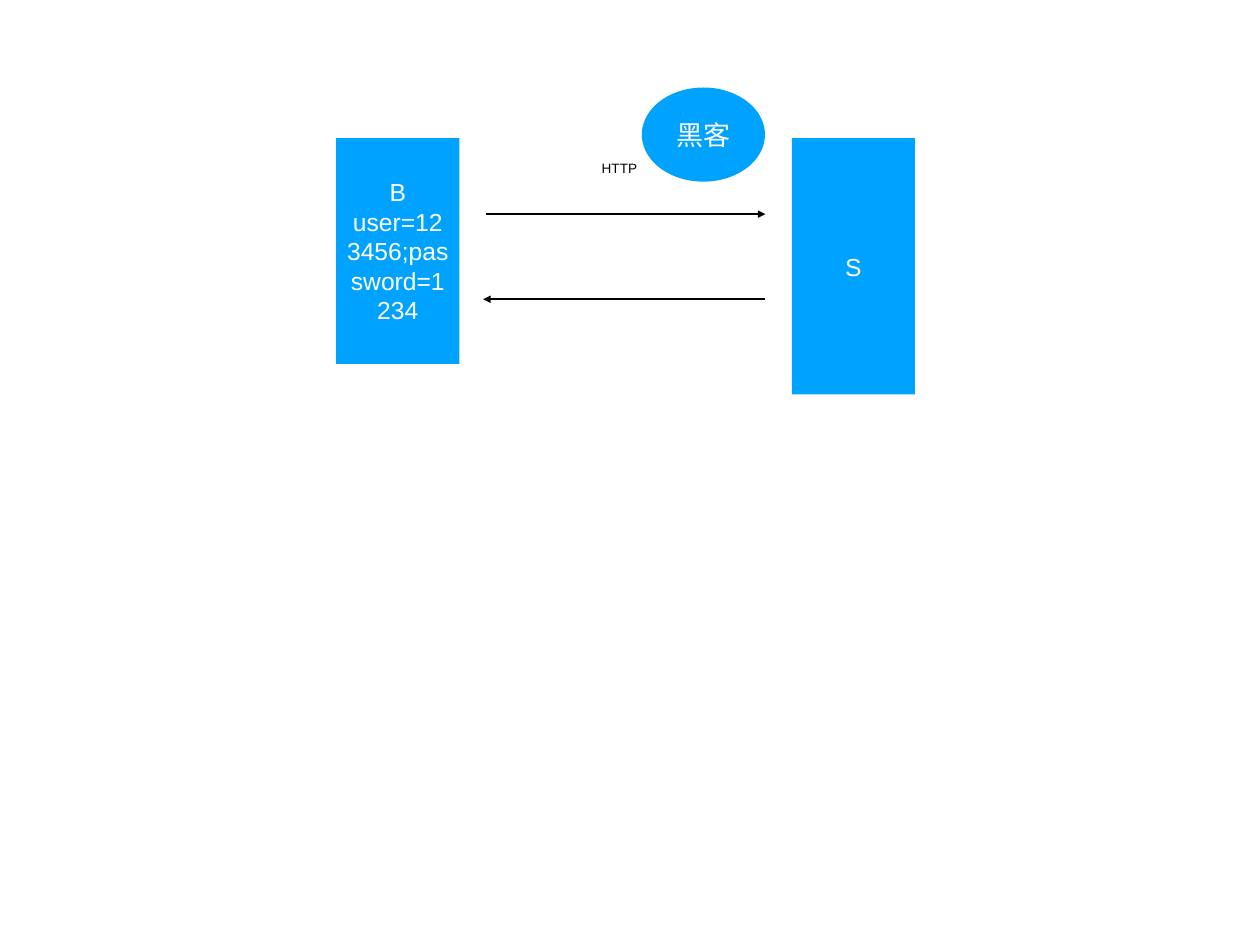
"""Builds a slide showing a hacker listening in on HTTP between browser and server."""
from dataclasses import dataclass

from lxml import etree
from pptx import Presentation
from pptx import util as u
from pptx.dml.color import RGBColor
from pptx.enum import shapes, text
from pptx.oxml import ns


@dataclass(frozen=True)
class Theme:
    blue: RGBColor = RGBColor(0x00, 0xA2, 0xFF)
    white: RGBColor = RGBColor(0xFF, 0xFF, 0xFF)
    black: RGBColor = RGBColor(0x00, 0x00, 0x00)
    font: str = "Arial"
    node_size: int = 20
    hacker_size: int = 22
    label_size: int = 11
    line_width: int = 2


theme = Theme()


def write(shape, wording, size, color, inset, align, anchor):
    frame = shape.text_frame
    frame.word_wrap = True
    frame.vertical_anchor = anchor
    frame.margin_left = frame.margin_right = u.Cm(inset)
    frame.margin_top = frame.margin_bottom = u.Cm(inset)
    frame.text = wording
    for paragraph in frame.paragraphs:
        paragraph.alignment = align
        paragraph.font.name = theme.font
        paragraph.font.size = u.Pt(size)
        paragraph.font.color.rgb = color


def add_node(kind, left, top, height, wording, size, inset):
    node = slide.shapes.add_shape(kind, u.Cm(left), u.Cm(top), u.Cm(3.53), u.Cm(height))
    node.shadow.inherit = False
    node.fill.solid()
    node.fill.fore_color.rgb = theme.blue
    node.line.fill.background()
    write(node, wording, size, theme.white, inset,
          text.PP_ALIGN.CENTER, text.MSO_ANCHOR.MIDDLE)


deck = Presentation()
deck.slide_width, deck.slide_height = u.Cm(36.12), u.Cm(27.1)
slide = deck.slides.add_slide(deck.slide_layouts[6])

for left, height, wording in [
    (9.64, 6.48, "B\nuser=123456;password=1234"),
    (22.7, 7.35, "S"),
]:
    add_node(shapes.MSO_SHAPE.RECTANGLE, left, 3.96, height, wording, theme.node_size, 0.3)

for start, end, y in [(13.94, 21.94, 6.14), (21.94, 13.85, 8.58)]:
    message = slide.shapes.add_connector(
        shapes.MSO_CONNECTOR.STRAIGHT, u.Cm(start), u.Cm(y), u.Cm(end), u.Cm(y))
    message.line.color.rgb = theme.black
    message.line.width = u.Pt(theme.line_width)
    etree.SubElement(message.line._get_or_add_ln(), ns.qn("a:tailEnd"), type="triangle")
    etree.SubElement(message._element.spPr, ns.qn("a:effectLst"))

protocol = slide.shapes.add_textbox(u.Cm(17.1), u.Cm(4.45), u.Cm(2.79), u.Cm(1.12))
write(protocol, "HTTP", theme.label_size, theme.black, 0.15,
      text.PP_ALIGN.LEFT, text.MSO_ANCHOR.TOP)

add_node(shapes.MSO_SHAPE.OVAL, 18.4, 2.51, 2.7, "黑客", theme.hacker_size, 0.15)

deck.save("out.pptx")
